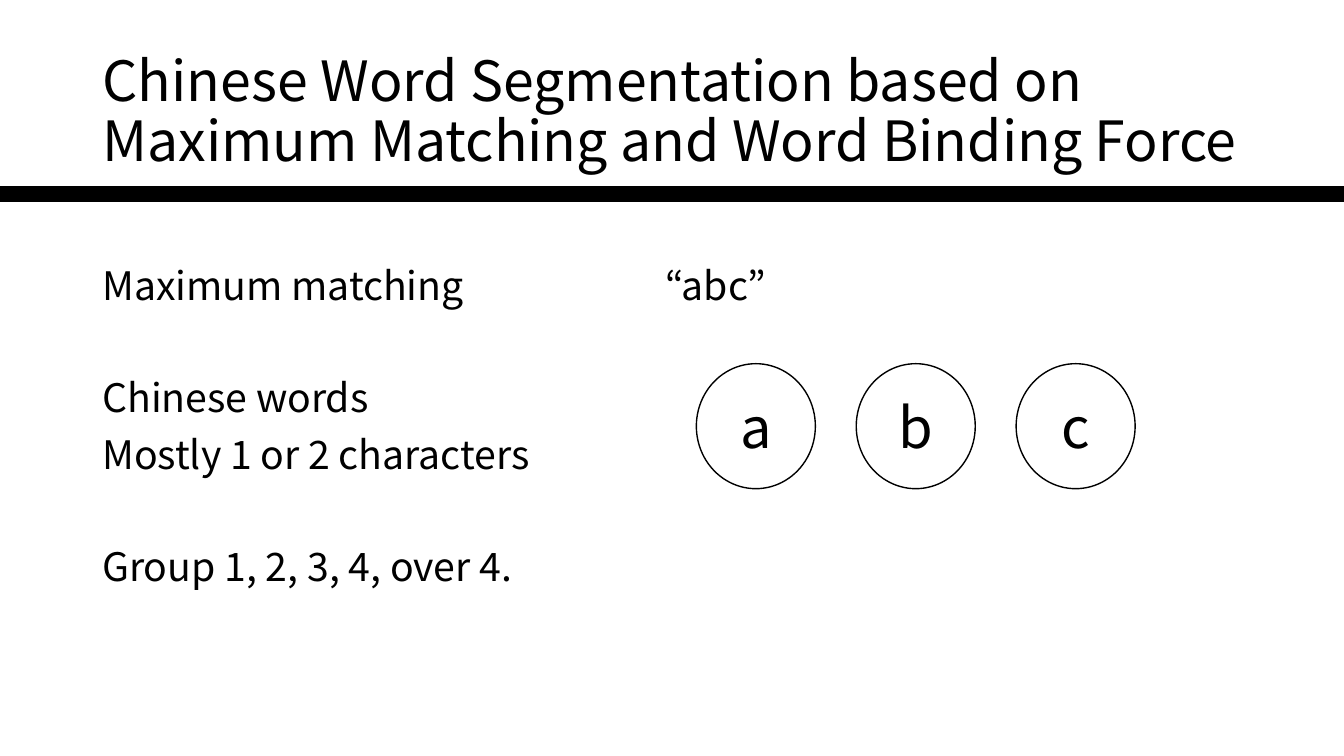
from lxml.etree import SubElement
from pptx import Presentation
from pptx.dml.color import RGBColor
from pptx.enum.shapes import MSO_SHAPE
from pptx.enum.text import MSO_ANCHOR, MSO_AUTO_SIZE, PP_ALIGN
from pptx.oxml.ns import qn
from pptx.util import Pt

INK = {"text": "000000", "line": "000000", "bar": "000000"}
FONT = "Noto Sans CJK KR"


class Deck:
    """Holds the style and the current slide, and draws each kind of element."""

    def __init__(self):
        self.file = Presentation()
        self.file.slide_width, self.file.slide_height = Pt(960), Pt(540)
        self.slide = self.file.slides.add_slide(self.file.slide_layouts[5])

    def tint(self, key):
        return RGBColor.from_string(INK[key])

    def style(self, par, size, align=PP_ALIGN.LEFT):
        par.alignment = align
        par.font.name = FONT
        par.font.size = Pt(size)
        par.font.color.rgb = self.tint("text")

    def title(self, text, left, top, width, height):
        box = self.slide.shapes.title
        box.left, box.top, box.width, box.height = map(Pt, (left, top, width, height))
        frame = box.text_frame
        frame.text = text
        frame.word_wrap = True
        frame.auto_size = MSO_AUTO_SIZE.NONE
        frame.vertical_anchor = MSO_ANCHOR.MIDDLE
        par = frame.paragraphs[0]
        par.line_spacing = 0.9
        self.style(par, 39.6)

    def body(self, rows, left, top, width, height, inset, stop):
        frame = self.slide.shapes.add_textbox(*map(Pt, (left, top, width, height))).text_frame
        frame.word_wrap = True
        frame.margin_top = Pt(inset)
        frame.text = "\n".join(text for text, gap in rows)
        for par, (text, gap) in zip(frame.paragraphs, rows):
            par.line_spacing = 0.9
            par.space_before = Pt(gap)
            if "\t" in text:
                tabs = SubElement(par._p.get_or_add_pPr(), qn("a:tabLst"))
                SubElement(tabs, qn("a:tab"), pos=str(Pt(stop)), algn="l")
            self.style(par, 28)

    def shape(self, kind, left, top, width, height):
        item = self.slide.shapes.add_shape(kind, *map(Pt, (left, top, width, height)))
        item.shadow.inherit = False
        item.line.color.rgb = self.tint("line")
        item.line.width = Pt(1)
        return item

    def bar(self, *place):
        item = self.shape(MSO_SHAPE.RECTANGLE, *place)
        item.fill.solid()
        item.fill.fore_color.rgb = self.tint("bar")

    def ring(self, text, *place):
        item = self.shape(MSO_SHAPE.OVAL, *place)
        item.fill.background()
        frame = item.text_frame
        frame.text = text
        frame.vertical_anchor = MSO_ANCHOR.MIDDLE
        self.style(frame.paragraphs[0], 40, PP_ALIGN.CENTER)


def main():
    deck = Deck()
    deck.title("Chinese Word Segmentation based on Maximum Matching and Word Binding Force",
               66, 28.8, 842.4, 104.4)
    rows = [
        ("Maximum matching\t“abc”", 0),
        ("Chinese words", 50),
        ("Mostly 1 or 2 characters", 10),
        ("Group 1, 2, 3, 4, over 4.", 50),
    ]
    deck.body(rows, 66, 144, 828, 342.7, inset=46.5, stop=402)
    deck.bar(0, 133.2, 960, 10.8)
    for spot, text in enumerate("abc"):
        deck.ring(text, 497.4 + 114.2 * spot, 259.8, 85, 89.3)
    deck.file.save("out.pptx")


if __name__ == "__main__":
    main()
